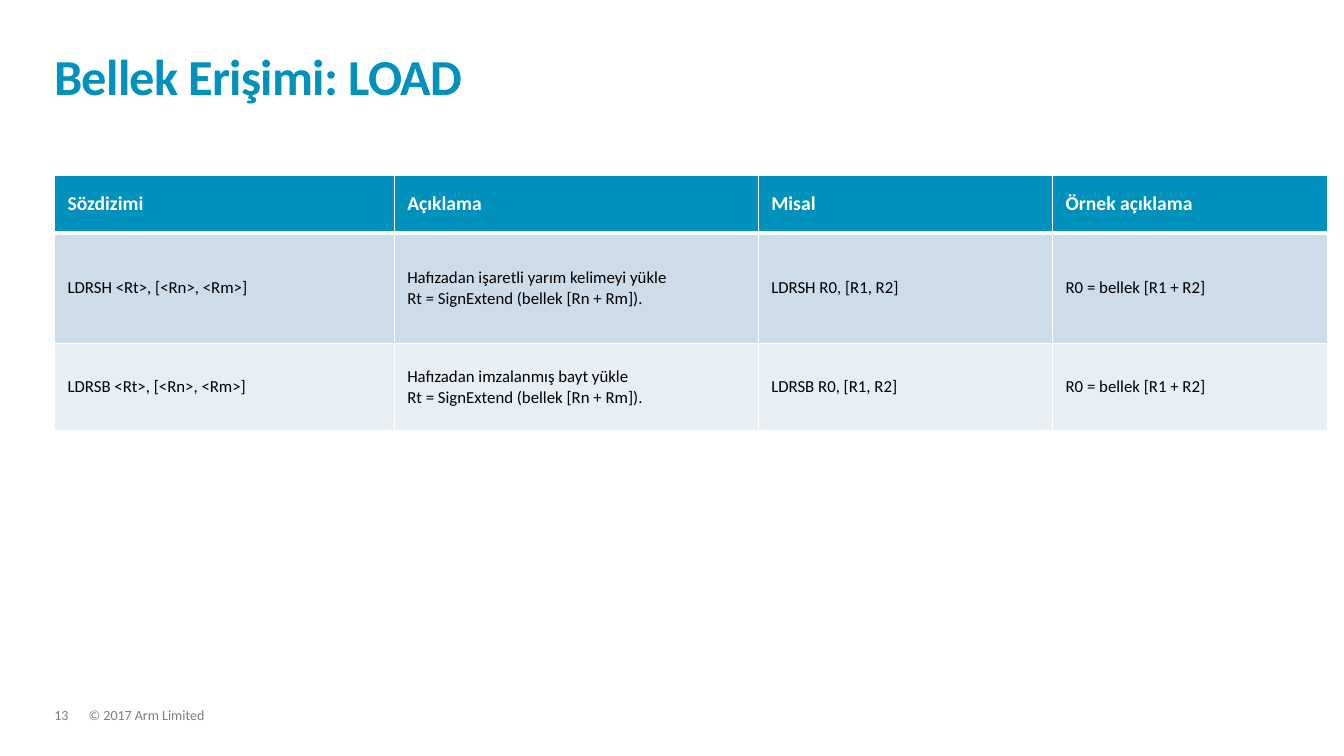
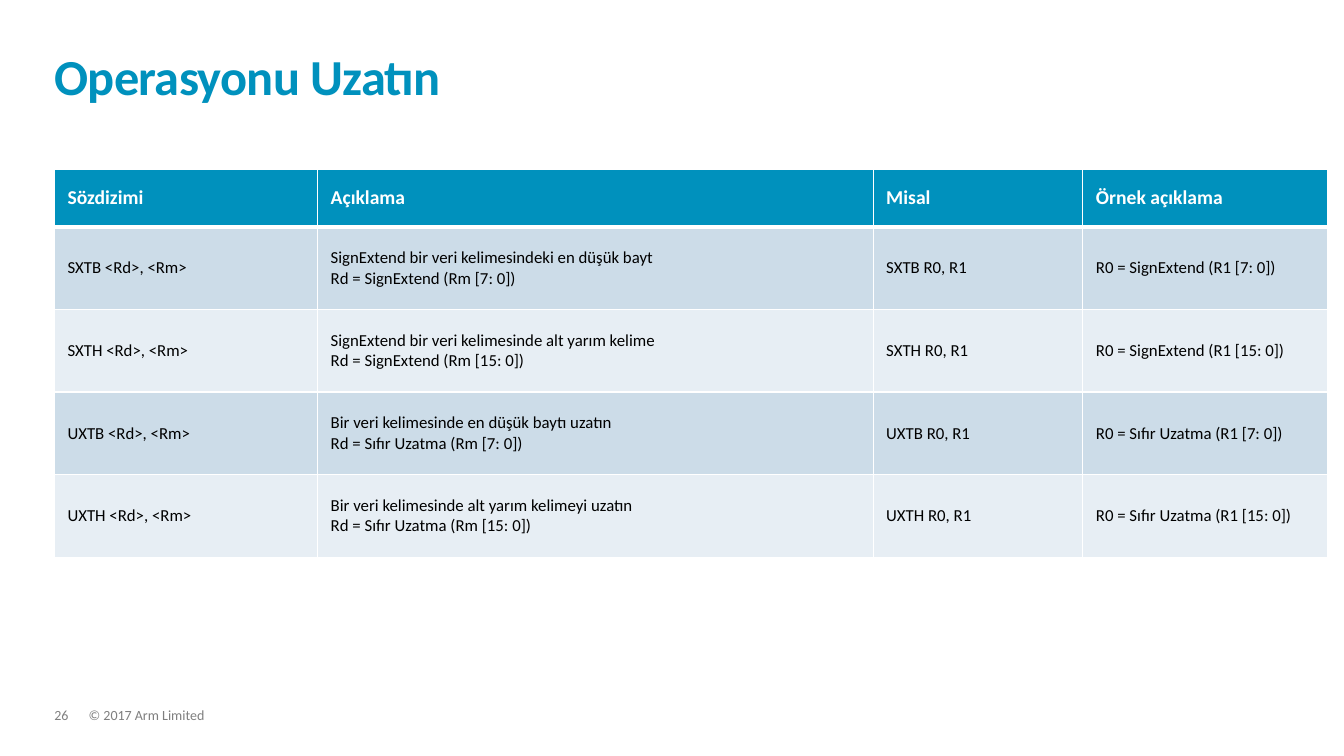
"""Two slides of instruction tables: loading from memory and extending values."""
from lxml import etree
from pptx import Presentation
from pptx.dml.color import RGBColor
from pptx.enum.text import MSO_ANCHOR as Anchor, MSO_AUTO_SIZE as AutoSize, PP_ALIGN as Align
from pptx.oxml.ns import qn
from pptx.util import Inches, Pt

BLUE = RGBColor(0x00, 0x91, 0xBD)
BAND_DARK = RGBColor(0xCC, 0xDC, 0xE8)
BAND_LIGHT = RGBColor(0xE7, 0xEE, 0xF4)
GREY = RGBColor(0x7F, 0x7F, 0x7F)
BLACK = RGBColor(0x00, 0x00, 0x00)
WHITE = RGBColor(0xFF, 0xFF, 0xFF)

FONT = "Calibri"
LEFT = 0.54
HEADINGS = ["Sözdizimi", "Açıklama", "Misal", "Örnek açıklama"]

LOAD_ROWS = [
    ["LDRSH <Rt>, [<Rn>, <Rm>]",
     "Hafızadan işaretli yarım kelimeyi yükle\nRt = SignExtend (bellek [Rn + Rm]).",
     "LDRSH R0, [R1, R2]", "R0 = bellek [R1 + R2]"],
    ["LDRSB <Rt>, [<Rn>, <Rm>]",
     "Hafızadan imzalanmış bayt yükle\nRt = SignExtend (bellek [Rn + Rm]).",
     "LDRSB R0, [R1, R2]", "R0 = bellek [R1 + R2]"],
]
EXTEND_ROWS = [
    ["SXTB <Rd>, <Rm>",
     "SignExtend bir veri kelimesindeki en düşük bayt\nRd = SignExtend (Rm [7: 0])",
     "SXTB R0, R1", "R0 = SignExtend (R1 [7: 0])"],
    ["SXTH <Rd>, <Rm>",
     "SignExtend bir veri kelimesinde alt yarım kelime\nRd = SignExtend (Rm [15: 0])",
     "SXTH R0, R1", "R0 = SignExtend (R1 [15: 0])"],
    ["UXTB <Rd>, <Rm>",
     "Bir veri kelimesinde en düşük baytı uzatın\nRd = Sıfır Uzatma (Rm [7: 0])",
     "UXTB R0, R1", "R0 = Sıfır Uzatma (R1 [7: 0])"],
    ["UXTH <Rd>, <Rm>",
     "Bir veri kelimesinde alt yarım kelimeyi uzatın\nRd = Sıfır Uzatma (Rm [15: 0])",
     "UXTH R0, R1", "R0 = Sıfır Uzatma (R1 [15: 0])"],
]


def write(frame, text, size, color, bold=False, line=1.0, after=0, tracking=0):
    """Fill a text frame with one paragraph per line of text."""
    for index, words in enumerate(text.split("\n")):
        paragraph = frame.add_paragraph() if index else frame.paragraphs[0]
        paragraph.alignment = Align.LEFT
        paragraph.line_spacing = line
        paragraph.space_after = Pt(after)
        run = paragraph.add_run()
        run.text = words
        font = run.font
        font.name, font.size, font.bold = FONT, Pt(size), bold
        font.color.rgb = color
        if tracking:
            run._r.get_or_add_rPr().set("spc", str(round(tracking * 100)))


def clear_margins(frame):
    """Remove the inner margins of a text frame and let it wrap."""
    frame.margin_left = frame.margin_right = frame.margin_top = frame.margin_bottom = 0
    frame.word_wrap = True


def border(cell, **widths):
    """Draw white cell borders with the given widths in points."""
    properties = cell._tc.get_or_add_tcPr()
    for side in "LRTB":
        edge = etree.SubElement(properties, qn(f"a:ln{side}"), w=str(Pt(widths.get(side, 1))))
        fill = etree.SubElement(edge, qn("a:solidFill"))
        etree.SubElement(fill, qn("a:srgbClr"), val=str(WHITE))


class Deck:
    """Holds the presentation, its style and the current slide."""

    def __init__(self):
        """Start an empty widescreen presentation."""
        self.presentation = Presentation()
        self.presentation.slide_width = Inches(13.33)
        self.presentation.slide_height = Inches(7.5)
        self.slide = None

    def new_slide(self, title, number):
        """Add a slide with its title and footer."""
        self.slide = self.presentation.slides.add_slide(self.presentation.slide_layouts[5])
        self.footer("© 2017 Arm Limited", 0.88, 9.13)
        self.footer(str(number), LEFT, 0.34)
        self.title(title)

    def title(self, text):
        """Place and format the title."""
        heading = self.slide.shapes.title
        heading.left, heading.top = Inches(LEFT), Inches(0.32)
        heading.width, heading.height = Inches(12.23), Inches(0.73)
        frame = heading.text_frame
        clear_margins(frame)
        frame.auto_size = AutoSize.NONE
        frame.vertical_anchor = Anchor.BOTTOM
        write(frame, text, size=36, color=BLUE, bold=True, line=0.85, tracking=-0.5)

    def footer(self, text, left, width):
        """Add a small grey text at the foot of the slide."""
        note = self.slide.shapes.add_textbox(
            Inches(left), Inches(7.03), Inches(width), Inches(0.15))
        clear_margins(note.text_frame)
        write(note.text_frame, text, size=10, color=GREY, line=0.9, after=6)

    def table(self, top, widths, heights, rows):
        """Add an instruction table with headings and banded rows."""
        grid = self.slide.shapes.add_table(
            len(heights), len(widths), Inches(LEFT), Inches(top),
            Inches(sum(widths)), Inches(sum(heights))).table
        grid.horz_banding = False
        for column, width in zip(grid.columns, widths):
            column.width = Inches(width)
        for index, (height, texts) in enumerate(zip(heights, [HEADINGS] + rows)):
            grid.rows[index].height = Inches(height)
            for column, text in enumerate(texts):
                self.cell(grid.cell(index, column), text, index)

    def cell(self, cell, text, row):
        """Format and fill one cell by its row."""
        cell.margin_left = cell.margin_right = Inches(0.13)
        cell.margin_top = cell.margin_bottom = Inches(0.05)
        cell.vertical_anchor = Anchor.MIDDLE
        border(cell, T=3 if row == 1 else 1, B=3 if row == 0 else 1)
        cell.fill.solid()
        if row == 0:
            cell.fill.fore_color.rgb = BLUE
            write(cell.text_frame, text, size=14, color=WHITE, bold=True)
        else:
            cell.fill.fore_color.rgb = BAND_DARK if row % 2 else BAND_LIGHT
            write(cell.text_frame, text, size=12, color=BLACK)


def main():
    """Build and save both slides."""
    deck = Deck()
    deck.new_slide("Bellek Erişimi: LOAD", 13)
    deck.table(1.74, [3.37, 3.61, 2.92, 2.73], [0.57, 1.1, 0.86], LOAD_ROWS)
    deck.new_slide("Operasyonu Uzatın", 26)
    deck.table(1.68, [2.61, 5.51, 2.08, 2.43], [0.57] + [0.82] * 4, EXTEND_ROWS)
    deck.presentation.save("out.pptx")


if __name__ == "__main__":
    main()
